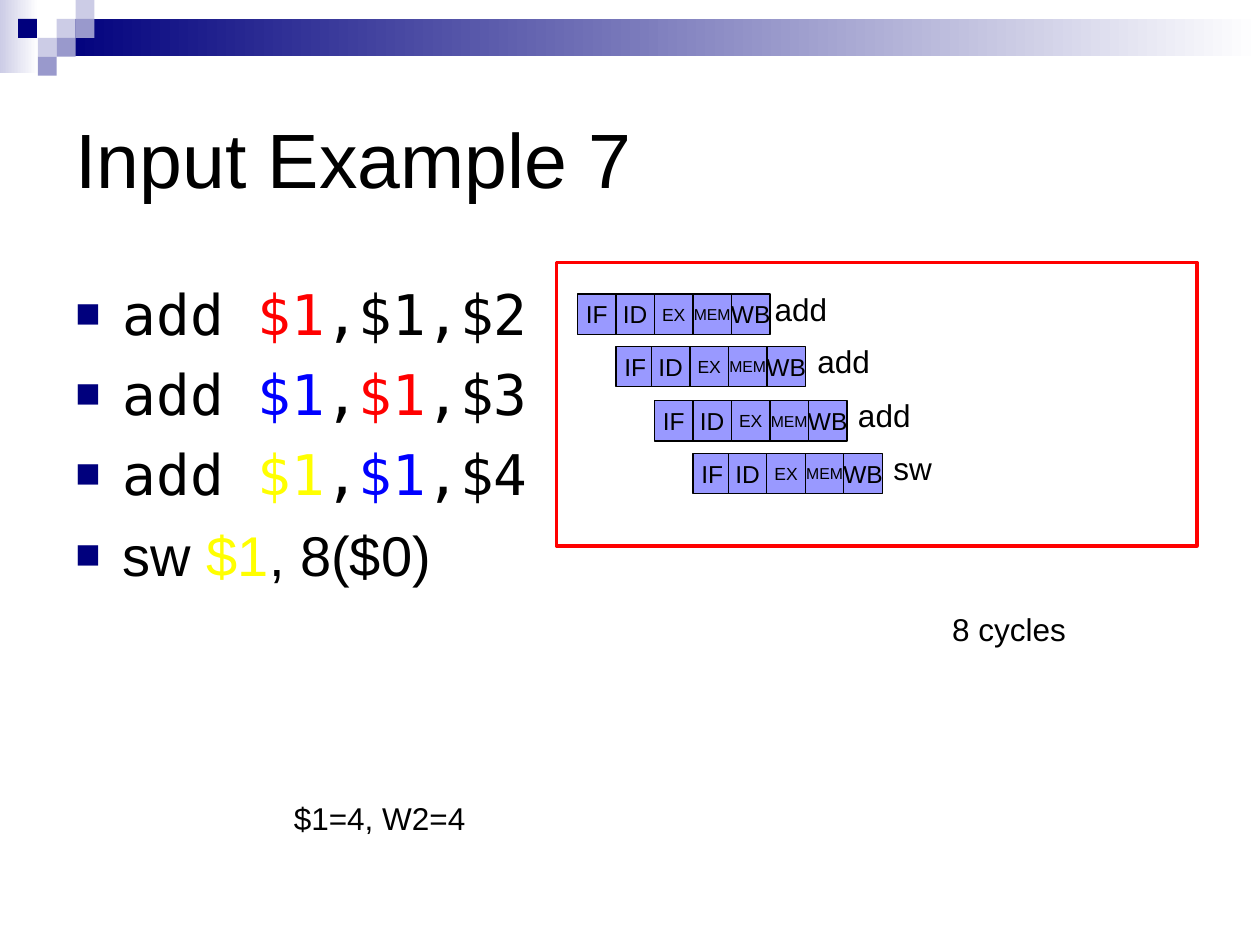
from lxml import etree
from pptx import Presentation
from pptx.dml.color import RGBColor
from pptx.enum.shapes import MSO_SHAPE
from pptx.enum.text import MSO_ANCHOR, MSO_AUTO_SIZE, PP_ALIGN
from pptx.oxml.ns import qn
from pptx.util import Pt

RECTANGLE = MSO_SHAPE.RECTANGLE
MIDDLE = MSO_ANCHOR.MIDDLE
CENTER = PP_ALIGN.CENTER
FIT_SHAPE = MSO_AUTO_SIZE.SHAPE_TO_FIT_TEXT

SANS, MONO = "Arial", "DejaVu Sans Mono"
BLACK, WHITE = "000000", "FFFFFF"
RED, BLUE, YELLOW = "FF0000", "0000FF", "FFFF00"
NAVY, LAVENDER, PALE, STAGE_FILL = "00007D", "9999CC", "CCCCE6", "9999FF"

SQUARE = 10.8
SQUARES = [  # left, row, colour
    (32.4, 1, PALE), (43.2, 0, PALE), (43.2, 1, LAVENDER), (21.6, 2, PALE),
    (10.3, 1, NAVY), (32.4, 2, LAVENDER), (21.6, 3, LAVENDER),
]

INSTRUCTIONS = [
    (MONO, [("add ", BLACK), ("$1", RED), (",$1,$2", BLACK)]),
    (MONO, [("add ", BLACK), ("$1", BLUE), (",", BLACK), ("$1", RED), (",$3", BLACK)]),
    (MONO, [("add ", BLACK), ("$1", YELLOW), (",", BLACK), ("$1", BLUE), (",$4", BLACK)]),
    (SANS, [("sw ", BLACK), ("$1", YELLOW), (", 8($0)", BLACK)]),
]

STAGES = [("IF", 14), ("ID", 14), ("EX", 10), ("MEM", 9), ("WB", 14)]
STAGE_PITCH, STAGE_HEIGHT = 22, 23
PIPELINES = [  # name, top, left of IF, left of ID, left and width of the name
    ("add", 168, 330, 352, 435.6, 44.6),
    ("add", 198, 352, 372.3, 460, 44.6),
    ("add", 229, 374, 396, 483.2, 44.6),
    ("sw", 259, 396, 416.2, 503.4, 36.7),
]


def color(hex_code):
    return RGBColor.from_string(hex_code)


def style(font, size, hex_code=BLACK, name=SANS):
    font.size, font.name = Pt(size), name
    font.color.rgb = color(hex_code)


def add_rectangle(page, left, top, width, height, fill=None, line=None, weight=0.75):
    box = page.shapes.add_shape(RECTANGLE, Pt(left), Pt(top), Pt(width), Pt(height))
    box.shadow.inherit = False
    if fill:
        box.fill.solid()
        box.fill.fore_color.rgb = color(fill)
    else:
        box.fill.background()
    if line:
        box.line.color.rgb = color(line)
        box.line.width = Pt(weight)
    else:
        box.line.fill.background()
    return box


def add_fading_bar(page, left, top, width, height, start):
    bar = add_rectangle(page, left, top, width, height)
    bar.fill.gradient()
    bar.fill.gradient_angle = 0
    for stop, hex_code, position in zip(bar.fill.gradient_stops, (start, WHITE), (0, 1)):
        stop.color.rgb = color(hex_code)
        stop.position = position


def add_text(page, left, top, width, height, text, size):
    box = page.shapes.add_textbox(Pt(left), Pt(top), Pt(width), Pt(height))
    box.text_frame.word_wrap = False
    para = box.text_frame.paragraphs[0]
    para.text = text
    style(para.font, size)
    return box


def add_label(page, left, top, width, text):
    box = add_text(page, left, top, width, 29, text, 18)
    box.text_frame.auto_size = FIT_SHAPE


def add_title(page, text):
    frame = add_text(page, 36, 36, 648, 108, text, 44).text_frame
    frame.word_wrap = True
    frame.vertical_anchor = MIDDLE


def set_bullet(para):
    properties = para._p.get_or_add_pPr()
    properties.set("marL", str(Pt(27)))
    properties.set("indent", str(Pt(-27)))
    bullet_color = etree.Element(qn("a:buClr"))
    etree.SubElement(bullet_color, qn("a:srgbClr"), val=NAVY)
    bullet_parts = [
        bullet_color,
        etree.Element(qn("a:buSzPct"), val="75000"),
        etree.Element(qn("a:buFont"), typeface=SANS),
        etree.Element(qn("a:buChar"), char="■"),
    ]
    position = 1 if properties.find(qn("a:spcBef")) is not None else 0
    for offset, part in enumerate(bullet_parts):
        properties.insert(position + offset, part)


def add_instructions(page):
    box = page.shapes.add_textbox(Pt(36), Pt(156), Pt(648), Pt(306))
    frame = box.text_frame
    frame.word_wrap = True
    for number, (font_name, spans) in enumerate(INSTRUCTIONS):
        para = frame.add_paragraph() if number else frame.paragraphs[0]
        para.space_before = Pt(7.5)
        para.font.size, para.font.name = Pt(32), font_name
        set_bullet(para)
        for text, hex_code in spans:
            span = para.add_run()
            span.text = text
            span.font.color.rgb = color(hex_code)


def add_stage(page, left, top, text, size):
    box = add_rectangle(page, left, top, STAGE_PITCH, STAGE_HEIGHT, STAGE_FILL, BLACK)
    frame = box.text_frame
    frame.word_wrap = False
    frame.vertical_anchor = MIDDLE
    para = frame.paragraphs[0]
    para.text = text
    para.alignment = CENTER
    style(para.font, size)


def add_pipeline(page, name, top, first_left, second_left, name_left, name_width):
    lefts = [first_left] + [second_left + STAGE_PITCH * step for step in range(4)]
    for left, (stage, size) in zip(lefts, STAGES):
        add_stage(page, left, top, stage, size)
    add_label(page, name_left, top - 6, name_width, name)


def add_decoration(page):
    add_fading_bar(page, 0, 0, 22, 42, PALE)
    add_fading_bar(page, 32.4, SQUARE, 687.6, 21.4, NAVY)
    for left, row, hex_code in SQUARES:
        add_rectangle(page, left, row * SQUARE, SQUARE, SQUARE, hex_code)


def main():
    deck = Presentation()
    deck.slide_width, deck.slide_height = Pt(720), Pt(540)
    page = deck.slides.add_slide(deck.slide_layouts[6])
    add_decoration(page)
    add_title(page, "Input Example 7")
    add_instructions(page)
    for pipeline in PIPELINES:
        add_pipeline(page, *pipeline)
    add_label(page, 537, 345, 80, "8 cycles")
    add_label(page, 160.8, 453, 112.5, "$1=4, W2=4")
    add_rectangle(page, 318, 150, 366, 162, line=RED, weight=2)
    deck.save("out.pptx")


if __name__ == "__main__":
    main()
